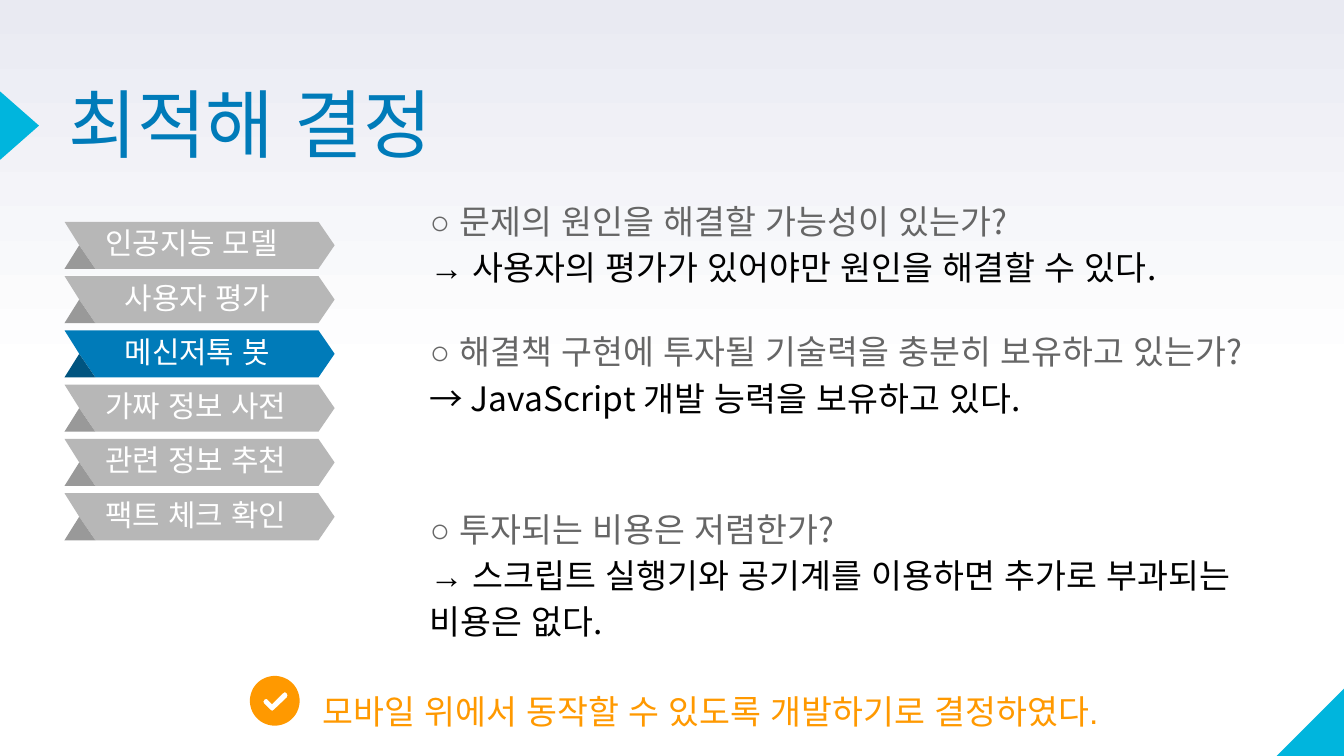
import math
from dataclasses import dataclass

import pptx
import pptx.dml.color
import pptx.enum.shapes
import pptx.enum.text
import pptx.oxml
import pptx.oxml.ns
import pptx.util

RGBColor = pptx.dml.color.RGBColor
Shapes = pptx.enum.shapes.MSO_SHAPE

WHITE = RGBColor(0xFF, 0xFF, 0xFF)
BLACK = RGBColor(0x00, 0x00, 0x00)
LAVENDER = RGBColor(0xE9, 0xEA, 0xF2)
CYAN = RGBColor(0x00, 0xB5, 0xDD)
BLUE = RGBColor(0x00, 0x7B, 0xB9)
DARK_BLUE = RGBColor(0x00, 0x54, 0x7F)
GRAY = RGBColor(0xB7, 0xB7, 0xB7)
MID_GRAY = RGBColor(0x99, 0x99, 0x99)
TEXT_GRAY = RGBColor(0x66, 0x66, 0x66)
ORANGE = RGBColor(0xFF, 0x99, 0x00)

# The grid has 100 columns and 56.25 rows of square cells
COLUMNS, ROWS = 100, 56.25
CELL = pptx.util.Inches(10) / COLUMNS
KOREAN_FONT = "Arial"

Point = tuple[float, float]


@dataclass(frozen=True)
class Box:
    left: float
    top: float
    width: float
    height: float


@dataclass(frozen=True)
class Style:
    font: str
    size: int
    spacing: float
    color: RGBColor
    margins: Point = (0, 0)


@dataclass(frozen=True)
class Run:
    text: str
    color: RGBColor
    bold: bool = False


@dataclass(frozen=True)
class Step:
    label: str
    indent: float
    width: float
    active: bool = False


@dataclass(frozen=True)
class Question:
    top: float
    question: str
    answer: str


TITLE = Style("Roboto", 40, 0.8, BLUE)
LABEL = Style("Arial", 16, 0.8, WHITE)
BODY = Style("Noto Sans CJK KR", 18, 1.15, TEXT_GRAY, (1, 0.5))
DECISION = Style("Arial", 18, 1.38, ORANGE, (1, 0.5))

STEPS = [
    Step("인공지능 모델", 3.05, 14.6),
    Step("사용자 평가", 4.5, 11.8),
    Step("메신저톡 봇", 4.5, 11.8, active=True),
    Step("가짜 정보 사전", 3.05, 14.6),
    Step("관련 정보 추천", 3.05, 14.6),
    Step("팩트 체크 확인", 3.05, 14.6),
]
STEP_LEFT, STEP_TOP, STEP_PITCH = 4.8, 16.5, 4.04
BANNER = [(0, 0), (18.9, 0), (20.1, 1.75), (18.9, 3.5), (2.3, 3.5), (1.1, 1.75)]
FOLD = [(1.1, 1.75), (2.3, 3.5), (0, 3.5)]

QUESTIONS = [
    Question(14, "문제의 원인을 해결할 가능성이 있는가?",
             "→ 사용자의 평가가 있어야만 원인을 해결할 수 있다."),
    Question(23.7, "해결책 구현에 투자될 기술력을 충분히 보유하고 있는가?",
             "→ JavaScript 개발 능력을 보유하고 있다."),
    Question(36.9, "투자되는 비용은 저렴한가?",
             "→ 스크립트 실행기와 공기계를 이용하면 추가로 부과되는 비용은 없다."),
]

CHECK_CENTER, CHECK_RADIUS = (20.45, 52.15), 1.85
CHECK_MARK = [(21.2, 51.5), (21.35, 51.6), (21.4, 51.75), (21.35, 51.9),
              (20.4, 52.8), (20.25, 52.9), (20.1, 52.8), (19.65, 52.35),
              (19.6, 52.2), (19.7, 52.05), (19.85, 52), (19.95, 52.1),
              (20.25, 52.4), (21.05, 51.6)]


def cells(count: float) -> int:
    return round(count * CELL)


def paint(shape, color: RGBColor) -> None:
    shape.shadow.inherit = False
    shape.fill.solid()
    shape.fill.fore_color.rgb = color
    shape.line.fill.background()


def place(box: Box) -> list[int]:
    return [cells(value) for value in (box.left, box.top, box.width, box.height)]


def draw_outline(slide, contours: list[list[Point]], color: RGBColor) -> None:
    scaled = [[(cells(x), cells(y)) for x, y in contour] for contour in contours]
    builder = slide.shapes.build_freeform(*scaled[0][0])
    builder.add_line_segments(scaled[0][1:], close=True)
    for contour in scaled[1:]:
        builder.move_to(*contour[0])
        builder.add_line_segments(contour[1:], close=True)
    paint(builder.convert_to_shape(), color)


def write_text(slide, box: Box, style: Style, lines: list[list[Run]]) -> None:
    frame = slide.shapes.add_textbox(*place(box)).text_frame
    side, end = (cells(margin) for margin in style.margins)
    frame_format = {
        "word_wrap": True, "vertical_anchor": pptx.enum.text.MSO_ANCHOR.TOP,
        "margin_left": side, "margin_right": side,
        "margin_top": end, "margin_bottom": end,
    }
    for name, value in frame_format.items():
        setattr(frame, name, value)
    for index, line in enumerate(lines):
        paragraph = frame.add_paragraph() if index else frame.paragraphs[0]
        paragraph.line_spacing = style.spacing
        for part in line:
            run = paragraph.add_run()
            run.text = part.text
            run_format = {"name": style.font, "size": pptx.util.Pt(style.size),
                          "bold": part.bold}
            for name, value in run_format.items():
                setattr(run.font, name, value)
            run.font.color.rgb = part.color
            # Korean letters take the East Asian typeface
            east_asian = pptx.oxml.parse_xml(
                f'<a:ea {pptx.oxml.ns.nsdecls("a")} typeface="{KOREAN_FONT}"/>')
            run.font._element.find(pptx.oxml.ns.qn("a:latin")).addnext(east_asian)


def draw_step(slide, step: Step, top: float) -> None:
    banner_color, fold_color = (BLUE, DARK_BLUE) if step.active else (GRAY, MID_GRAY)
    for outline, color in ((BANNER, banner_color), (FOLD, fold_color)):
        draw_outline(slide, [[(STEP_LEFT + x, top + y) for x, y in outline]], color)
    box = Box(STEP_LEFT + step.indent, top + 0.75, step.width, 2)
    write_text(slide, box, LABEL, [[Run(step.label, LABEL.color)]])


def main() -> None:
    presentation = pptx.Presentation()
    presentation.slide_width = cells(COLUMNS)
    presentation.slide_height = cells(ROWS)
    slide = presentation.slides.add_slide(presentation.slide_layouts[6])

    # Background: white lower half, lavender towards the top
    background = slide.background.fill
    background.gradient()
    background.gradient_angle = 90
    for stop, position, color in zip(background.gradient_stops, (0.5, 1), (WHITE, LAVENDER)):
        stop.position = position
        stop.color.rgb = color

    # Corner and title marker
    corner = slide.shapes.add_shape(Shapes.RIGHT_TRIANGLE, *place(Box(95, 51.15, 5.1, 5.1)))
    corner.element.spPr.find(pptx.oxml.ns.qn("a:xfrm")).set("flipH", "1")
    paint(corner, CYAN)
    marker = slide.shapes.add_shape(Shapes.ISOSCELES_TRIANGLE, *place(Box(-1.1, 7.9, 5.1, 2.9)))
    marker.rotation = 90
    paint(marker, CYAN)

    # Title
    write_text(slide, Box(5.1, 7.1, 66.6, 5.9), TITLE, [[Run("최적해 결정", BLUE)]])

    # Step banners
    for index, step in enumerate(STEPS):
        draw_step(slide, step, STEP_TOP + index * STEP_PITCH)

    # Questions and answers
    for item in QUESTIONS:
        write_text(slide, Box(31, item.top, 65.3, 5.1), BODY, [
            [Run("○ ", TEXT_GRAY, bold=True), Run(item.question, TEXT_GRAY)],
            [Run(item.answer, BLACK)],
        ])

    # Decision with a check mark cut out of a disc
    center_x, center_y = CHECK_CENTER
    angles = [math.radians(degrees) for degrees in range(0, 360, 5)]
    disc = [(center_x + CHECK_RADIUS * math.cos(angle),
             center_y + CHECK_RADIUS * math.sin(angle)) for angle in angles]
    draw_outline(slide, [disc, CHECK_MARK[::-1]], ORANGE)
    write_text(slide, Box(22.3, 49.8, 68, 3.7), DECISION,
               [[Run(" 모바일 위에서 동작할 수 있도록 개발하기로 결정하였다.", ORANGE)]])

    presentation.save("out.pptx")


if __name__ == "__main__":
    main()
